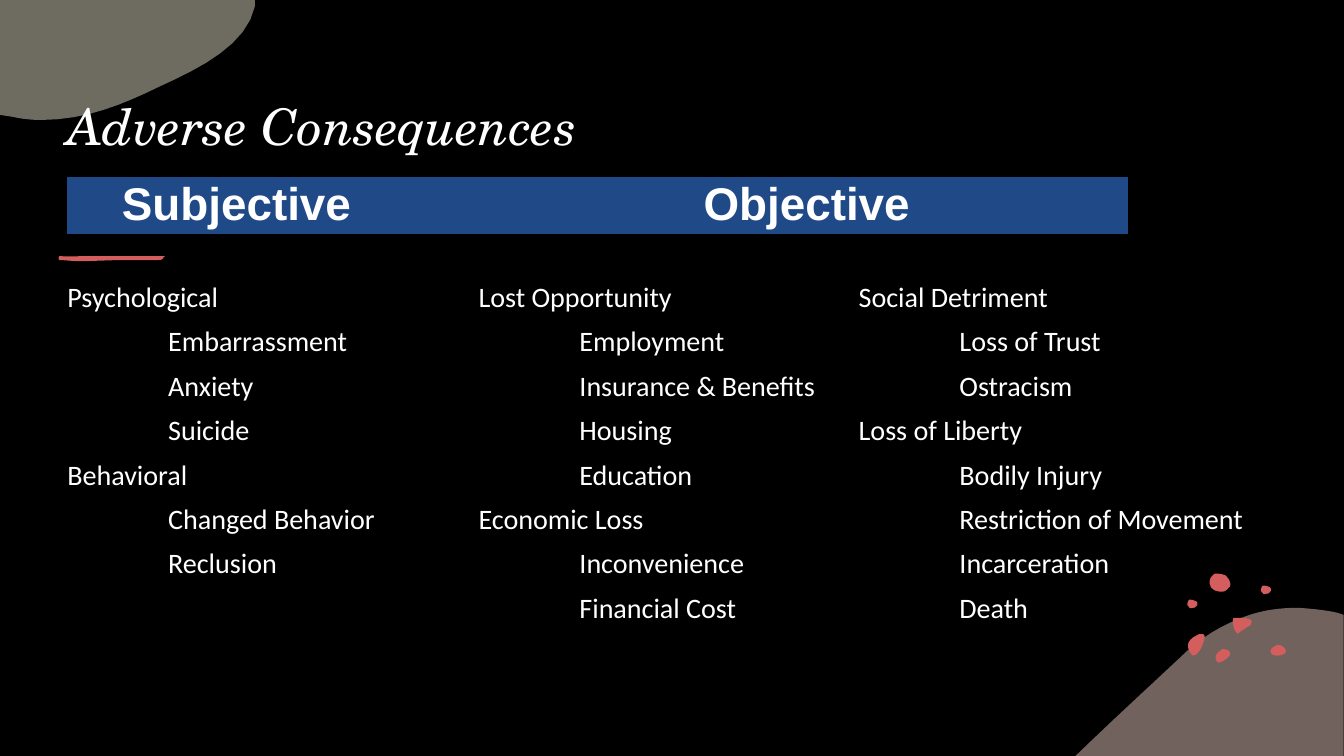
from lxml import etree
from pptx import Presentation
from pptx.dml.color import RGBColor
from pptx.enum.shapes import MSO_SHAPE
from pptx.enum.text import MSO_ANCHOR
from pptx.oxml.ns import qn
from pptx.util import Inches, Pt

RECT = MSO_SHAPE.RECTANGLE
TOP, BOTTOM = MSO_ANCHOR.TOP, MSO_ANCHOR.BOTTOM
COLS, ROWS = 133.33, 75
CELL = Inches(0.1)
STEPS = 8
COLORS = {"black": "000000", "white": "FFFFFF", "band": "204A87",
          "coral": "D45E5E", "rose": "E5C4BA", "sand": "DCD9C3"}

HILL = [(128.8, 60.3), (130.1, 60.4, 131.4, 60.5, 132.7, 60.8), (133.3, 61),
        (133.3, 75), (106.7, 75), (106.8, 74.9),
        (110.2, 71.6, 113.7, 68.4, 116.9, 65.4),
        (119.1, 63.2, 121.4, 61.9, 123.7, 61.1),
        (125.4, 60.5, 127.1, 60.3, 128.8, 60.3)]
CLOUD = [(0, 0), (25.3, 0), (25.3, 0.6), (24.5, 4.4, 20, 6.7, 15.8, 8.6),
         (12.3, 10.3, 8.6, 11.9, 4.1, 11.9),
         (3.1, 11.9, 2.2, 11.8, 1.3, 11.6), (0, 11.4)]
STROKE = [(5.9, 25.4), (7, 25.5, 7.6, 25.4, 8.8, 25.4), (11.1, 25.4),
          (16.4, 25.4), (16.1, 25.5, 16.3, 25.8, 15.7, 25.8), (11.7, 25.8),
          (8.6, 25.9), (7.5, 25.9), (6.1, 25.8),
          (5.7, 25.9, 5.8, 25.5, 5.9, 25.4)]
SPECK = [(125.1, 58.6), (125.1, 58.6, 125.1, 58.2, 125.3, 58.1),
         (125.5, 58.1, 125.6, 58.1, 125.8, 58.2),
         (125.9, 58.2, 126.1, 58.3, 126.1, 58.5),
         (126.1, 58.6, 126, 58.8, 125.9, 58.8),
         (125.9, 58.8, 125.9, 58.9, 125.7, 58.9),
         (125.6, 58.9, 125.4, 59, 125.3, 58.9),
         (125.2, 58.7, 125.1, 58.7, 125.1, 58.6)]
DOTS = [
    [(121.3, 64.4), (121.5, 64.4, 121.6, 64.4, 121.8, 64.5),
     (122, 64.6, 122.1, 64.8, 122, 65), (121.8, 65.3, 121.2, 65.8, 120.8, 65.7),
     (120.7, 65.6, 120.6, 65.4, 120.6, 65.2),
     (120.6, 65, 120.8, 64.7, 121, 64.6),
     (121.1, 64.5, 121.2, 64.4, 121.3, 64.4)],
    [(119.1, 62.9), (119.3, 62.9, 119.5, 62.9, 119.5, 63.1),
     (119.5, 63.3), (119.4, 63.8, 119.2, 64.3, 118.9, 64.7),
     (118.7, 64.9, 118.4, 65.2, 118.2, 64.9),
     (117.9, 64.6, 117.8, 64.1, 117.9, 63.8),
     (118, 63.5, 118.2, 63.4, 118.4, 63.2),
     (118.5, 63.2, 118.8, 62.9, 119.1, 62.9)],
    [(126.9, 64), (127.1, 64, 127.4, 64.2, 127.5, 64.4),
     (127.6, 64.6, 127.6, 64.8, 127.3, 64.9),
     (127, 65.1, 126.2, 65.1, 126.1, 64.8),
     (126, 64.6, 126.1, 64.4, 126.2, 64.3),
     (126.4, 64.1, 126.6, 64, 126.9, 64)],
    [(120.1, 58.1), (120, 58.1, 119.9, 57.5, 120.2, 57.2),
     (120.4, 57, 120.4, 56.9, 120.7, 56.9),
     (121, 56.9, 121.4, 57, 121.6, 57.1),
     (121.8, 57.3, 122.2, 57.8, 122, 58.2),
     (121.7, 58.5, 121.6, 58.7, 121.2, 58.7),
     (120.9, 58.7, 120.4, 58.6, 120.3, 58.4),
     (120.1, 58.3, 120.1, 58.2, 120.1, 58.1)],
    [(122.8, 61.3), (123.4, 61.3, 124.5, 61.3, 124.1, 61.9),
     (124.1, 62, 124, 62.1, 123.9, 62.1),
     (123.6, 62.3, 123.3, 62.5, 123, 62.7),
     (122.9, 62.8, 122.8, 62.9, 122.7, 62.8), (122.6, 62.7),
     (122.4, 62.3, 122.3, 62, 122.3, 61.6),
     (122.3, 61.5, 122.3, 61.4, 122.4, 61.3)],
]

LISTS = [
    ((5.7, 27.6, 50.8, 40), [
        ("Psychological", ["Embarrassment", "Anxiety", "Suicide"]),
        ("Behavioral", ["Changed Behavior", "Reclusion"])]),
    ((46.5, 27.6, 47.5, 40), [
        ("Lost Opportunity", ["Employment", "Insurance & Benefits", "Housing", "Education"]),
        ("Economic Loss", ["Inconvenience", "Financial Cost"])]),
    ((84.2, 27.6, 49.1, 35.9), [
        ("Social Detriment", ["Loss of Trust", "Ostracism"]),
        ("Loss of Liberty", ["Bodily Injury", "Restriction of Movement",
                             "Incarceration", "Death"])]),
]


def flatten(outline, dx=0, dy=0):
    """Turn an outline of lines and cubic curves into slide points."""
    points = [outline[0]]
    for seg in outline[1:]:
        if len(seg) == 2:
            points.append(seg)
            continue
        knots = [points[-1], seg[:2], seg[2:4], seg[4:]]
        for i in range(1, STEPS + 1):
            t = i / STEPS
            weights = ((1 - t) ** 3, 3 * t * (1 - t) ** 2, 3 * t * t * (1 - t), t ** 3)
            points.append(tuple(sum(w * k[axis] for w, k in zip(weights, knots))
                                for axis in (0, 1)))
    return [(round((x + dx) * CELL), round((y + dy) * CELL)) for x, y in points]


class Deck:
    """Hold the style and the current slide, measured in grid cells."""

    def __init__(self):
        """Start a presentation with one dark blank slide."""
        self.prs = Presentation()
        self.prs.slide_width, self.prs.slide_height = self.cells(COLS, ROWS)
        self.s = self.prs.slides.add_slide(self.prs.slide_layouts[6])
        fill = self.s.background.fill
        fill.solid()
        fill.fore_color.rgb = self.color("black")

    def cells(self, *values):
        """Convert grid cells to slide lengths."""
        return [round(v * CELL) for v in values]

    def color(self, name):
        """Look up a named colour."""
        return RGBColor.from_string(COLORS[name])

    def paint(self, sp, fill, alpha=None, line=None):
        """Set fill, transparency and outline of a shape."""
        sp.shadow.inherit = False
        sp.fill.solid()
        sp.fill.fore_color.rgb = self.color(fill)
        if alpha:
            clr = sp.element.spPr.find(qn("a:solidFill"))[0]
            etree.SubElement(clr, qn("a:alpha")).set("val", str(alpha * 1000))
        if line:
            sp.line.color.rgb = self.color(line)
            sp.line.width = Pt(0.75)
        else:
            sp.line.fill.background()

    def curve(self, outline, fill, alpha=None, dx=0, dy=0):
        """Draw a closed curved outline."""
        points = flatten(outline, dx, dy)
        builder = self.s.shapes.build_freeform(*points[0])
        builder.add_line_segments(points[1:], close=True)
        self.paint(builder.convert_to_shape(), fill, alpha)

    def bar(self, box, fill, line):
        """Draw a filled rectangle."""
        self.paint(self.s.shapes.add_shape(RECT, *self.cells(*box)), fill, line=line)

    def text(self, box, lines, font, size, insets=(1, 0.5, 1, 0.5), anchor=TOP,
             spacing=1, before=0, bold=False, italic=False):
        """Add a text box from (text, indent) lines."""
        tf = self.s.shapes.add_textbox(*self.cells(*box)).text_frame
        tf.word_wrap = True
        tf.vertical_anchor = anchor
        (tf.margin_left, tf.margin_top,
         tf.margin_right, tf.margin_bottom) = self.cells(*insets)
        for i, (words, indent) in enumerate(lines):
            p = tf.add_paragraph() if i else tf.paragraphs[0]
            p.line_spacing = spacing
            p.space_before = Pt(before)
            if indent:
                p._p.get_or_add_pPr().set("marL", str(round(indent * CELL)))
            r = p.add_run()
            r.text = words
            r.font.name, r.font.size = font, Pt(size)
            r.font.bold, r.font.italic = bold, italic
            r.font.color.rgb = self.color("white")


def main():
    """Build and save the slide."""
    deck = Deck()
    deck.curve(HILL, "rose", alpha=50)
    for dot in DOTS:
        deck.curve(dot, "coral")
    for dx, dy in ((0, 0), (-7.3, 1.4)):
        deck.curve(SPECK, "coral", dx=dx, dy=dy)
    deck.curve(CLOUD, "sand", alpha=50)
    deck.curve(STROKE, "coral")
    deck.text((5.7, 8.6, 110.2, 7.3), [("Adverse Consequences", 0)], "TeX Gyre Schola", 36,
              insets=(1, 0.1, 1, 0.5), anchor=BOTTOM, italic=True)
    deck.bar((6.6, 17.5, 105.4, 5.8), "band", "black")
    for left, heading in ((12.1, "Subjective"), (69.8, "Objective")):
        deck.text((left, 17.5, 43.9, 5.8), [(heading, 0)], "Arial", 32.7,
                  insets=(0, 0.2, 0, 0), spacing=0.96, bold=True)
    for box, groups in LISTS:
        lines = []
        for heading, items in groups:
            lines += [(heading, 0)] + [(item, 10) for item in items]
        deck.text(box, lines, "Calibri", 20.1, spacing=0.9, before=10)
    deck.prs.save("out.pptx")


if __name__ == "__main__":
    main()
